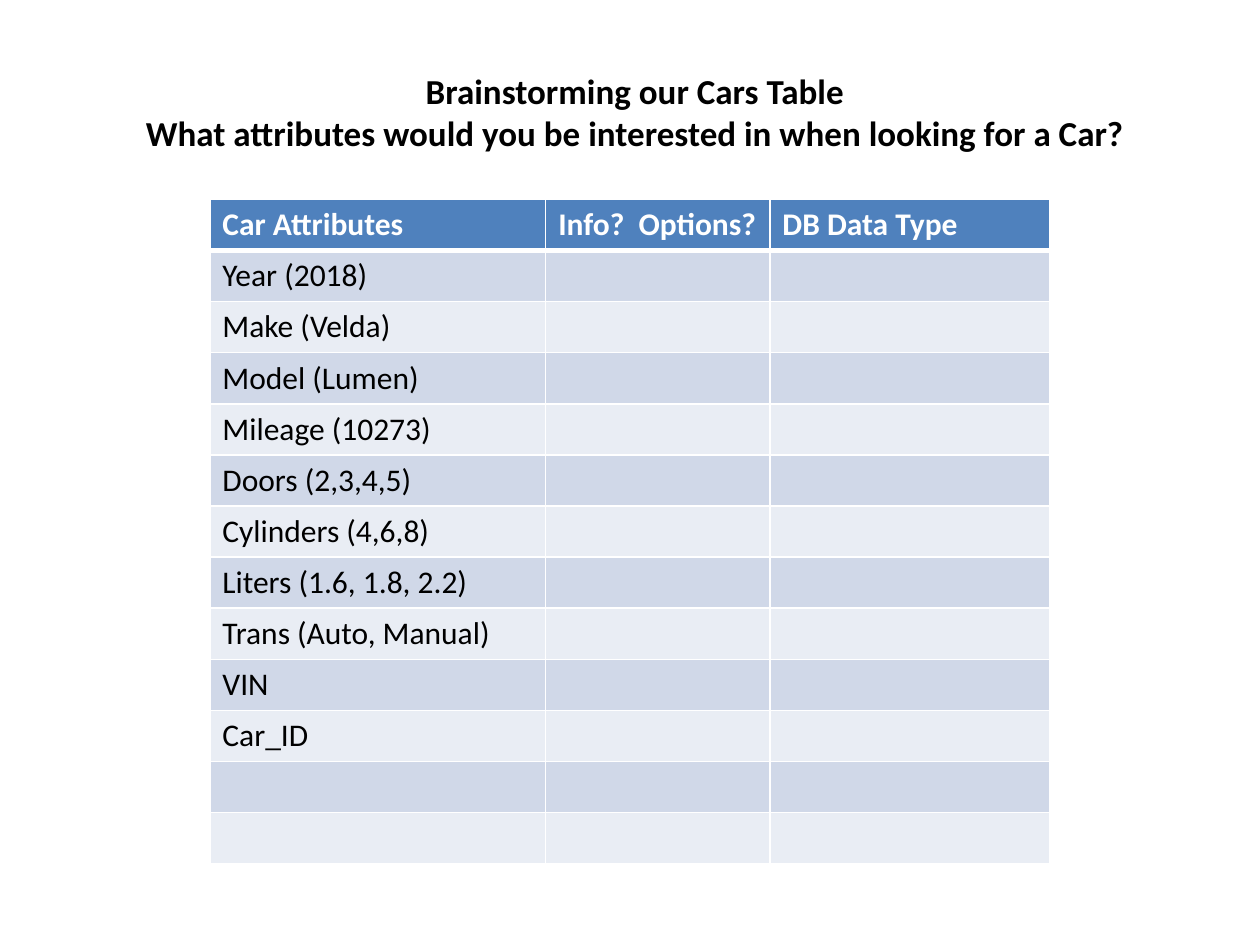
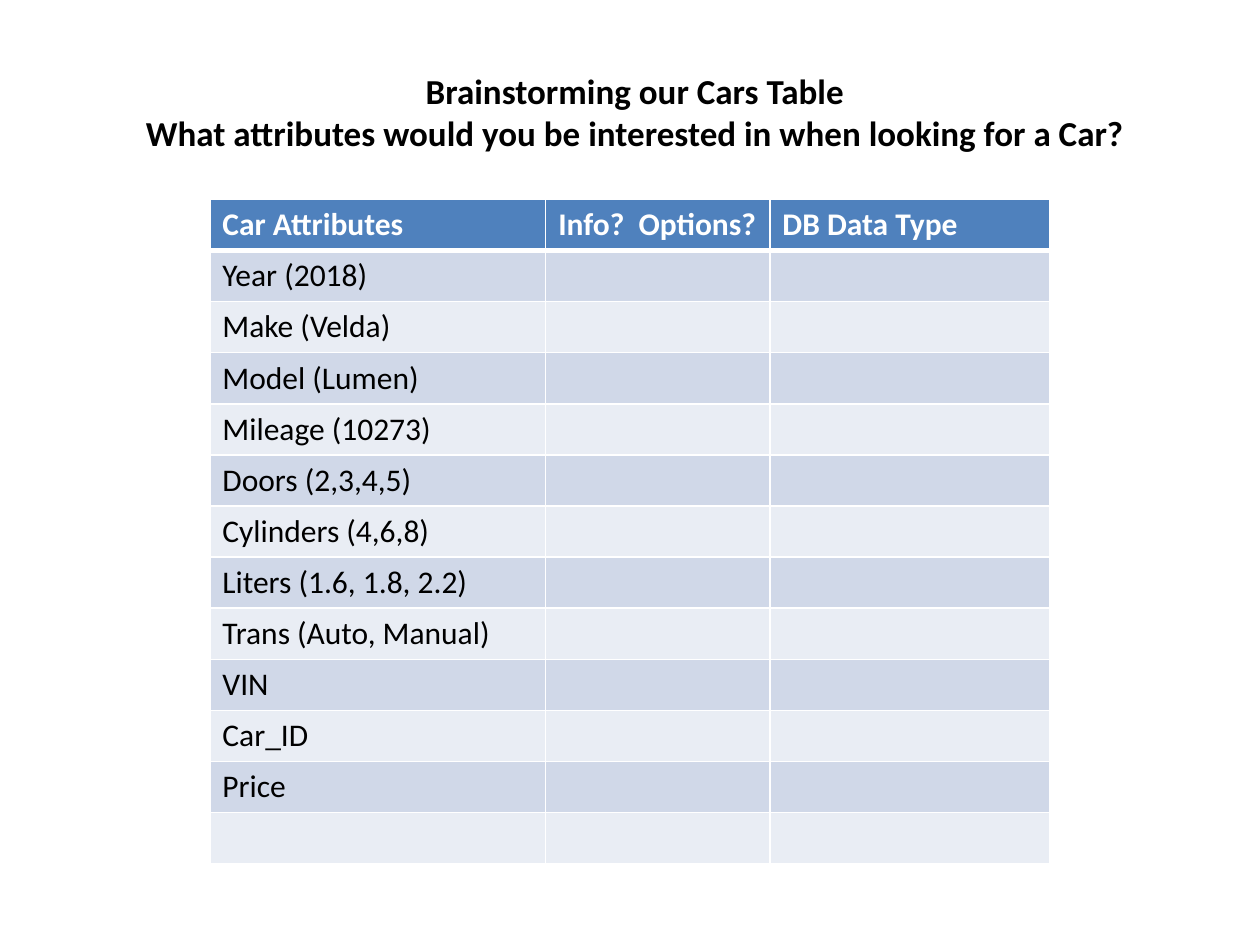
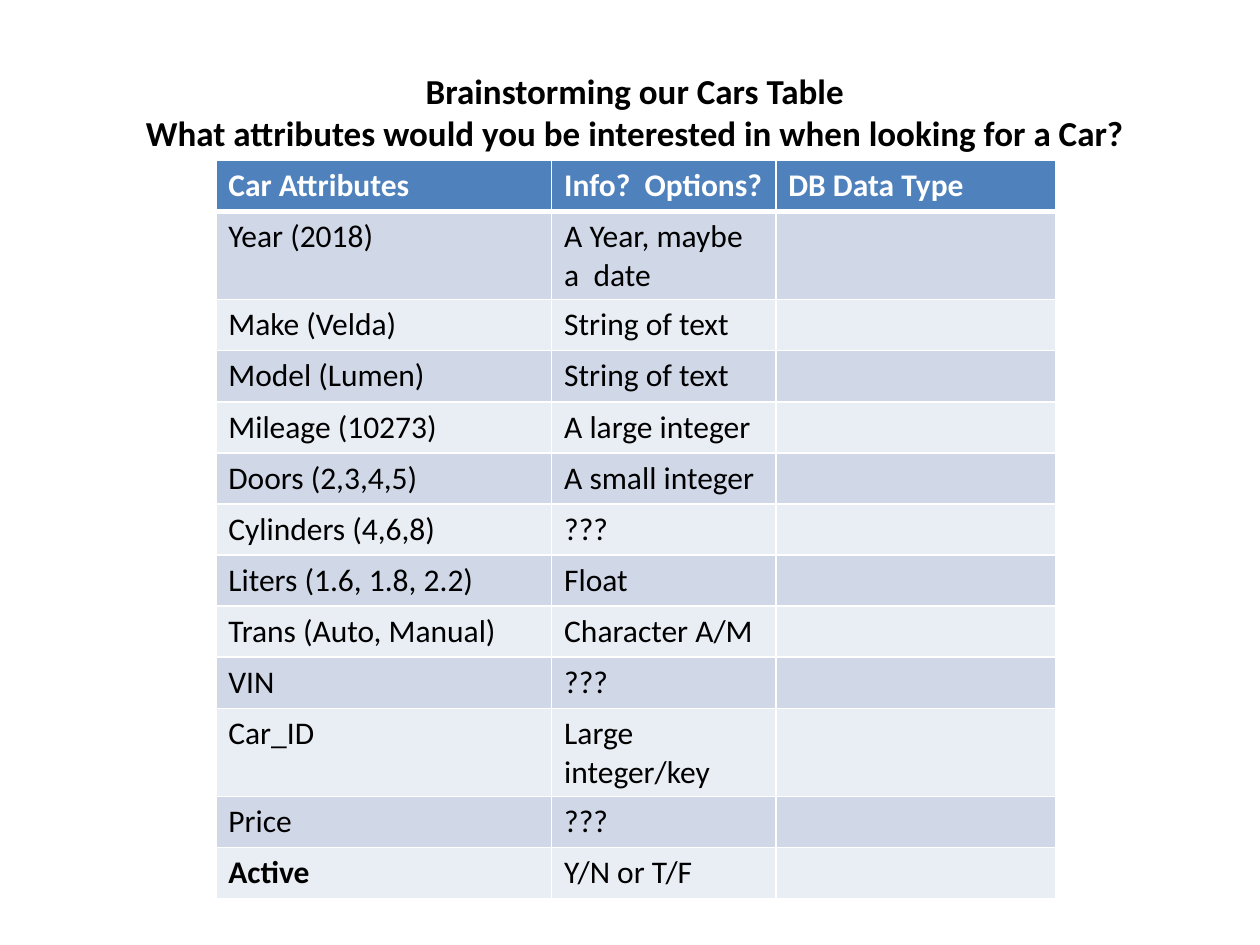
"""Build three slides that brainstorm the attributes of a cars table."""
from itertools import zip_longest

from lxml.etree import SubElement
from pptx import Presentation
from pptx.dml.color import RGBColor
from pptx.enum.text import MSO_AUTO_SIZE, PP_ALIGN
from pptx.oxml.ns import qn
from pptx.util import Cm, Pt

COLOURS = {
    "header": "4F81BD",
    "band_dark": "D0D8E8",
    "band_light": "E9EDF4",
    "border": "FFFFFF",
    "header_text": "FFFFFF",
    "text": "000000",
}
FORMATS = {
    "title": {"name": "Calibri", "size": Pt(20), "bold": True},
    "header": {"name": "Calibri", "size": Pt(18), "bold": True},
    "body": {"name": "Calibri", "size": Pt(18), "bold": False},
    "strong": {"name": "Calibri", "size": Pt(18), "bold": True},
}
TITLE_LINES = [
    "Brainstorming our Cars Table",
    "What attributes would you be interested in when looking for a Car?",
]
HEADERS = ["Car Attributes", "Info?  Options?", "DB Data Type"]
COLUMN_WIDTHS = [6.77, 4.52, 5.64]
ROW_HEIGHT = 1.03
BODY_ROWS = 12
ATTRIBUTES = [
    "Year (2018)",
    "Make (Velda)",
    "Model (Lumen)",
    "Mileage (10273)",
    "Doors (2,3,4,5)",
    "Cylinders (4,6,8)",
    "Liters (1.6, 1.8, 2.2)",
    "Trans (Auto, Manual)",
    "VIN",
    "Car_ID",
]
OPTIONS = [
    "A Year, maybe a  date",
    "String of text",
    "String of text",
    "A large integer",
    "A small integer",
    "???",
    "Float",
    "Character A/M",
    "???",
    "Large integer/key",
    "???",
    "Y/N or T/F",
]


class CarsDeck:
    """Hold the shared style and the current slide."""

    def __init__(self):
        self.deck = Presentation()
        self.deck.slide_width, self.deck.slide_height = Cm(25.4), Cm(19.05)
        self.page = None

    def add_page(self):
        self.page = self.deck.slides.add_slide(self.deck.slide_layouts[6])
        self.add_title()

    def add_span(self, para, text, style, colour):
        span = para.add_run()
        span.text = text
        for attribute, value in FORMATS[style].items():
            setattr(span.font, attribute, value)
        span.font.color.rgb = RGBColor.from_string(COLOURS[colour])

    def add_title(self):
        box = self.page.shapes.add_textbox(Cm(1.27), Cm(1.27), Cm(23.06), Cm(1.96))
        frame = box.text_frame
        frame.word_wrap = True
        frame.auto_size = MSO_AUTO_SIZE.SHAPE_TO_FIT_TEXT
        for index, line in enumerate(TITLE_LINES):
            para = frame.add_paragraph() if index else frame.paragraphs[0]
            para.alignment = PP_ALIGN.CENTER
            self.add_span(para, line, "title", "text")

    def set_borders(self, cell, top, bottom):
        properties = cell._tc.get_or_add_tcPr()
        for side, points in {"L": 1, "R": 1, "T": top, "B": bottom}.items():
            line = SubElement(properties, qn(f"a:ln{side}"), w=str(Pt(points)))
            fill = SubElement(line, qn("a:solidFill"))
            SubElement(fill, qn("a:srgbClr"), val=COLOURS["border"])

    def fill_cell(self, cell, text, row, strong):
        is_header = row == 0
        band = "header" if is_header else "band_dark" if row % 2 else "band_light"
        self.set_borders(cell, 3 if row == 1 else 1, 3 if is_header else 1)
        cell.fill.solid()
        cell.fill.fore_color.rgb = RGBColor.from_string(COLOURS[band])
        if text:
            style = "header" if is_header else "strong" if strong else "body"
            colour = "header_text" if is_header else "text"
            self.add_span(cell.text_frame.paragraphs[0], text, style, colour)

    def add_attribute_table(self, left, top, attributes, options=(), strong=()):
        count = BODY_ROWS + 1
        table = self.page.shapes.add_table(
            count, len(HEADERS), Cm(left), Cm(top),
            Cm(sum(COLUMN_WIDTHS)), Cm(count * ROW_HEIGHT),
        ).table
        for column, width in zip(table.columns, COLUMN_WIDTHS):
            column.width = Cm(width)
        for row in table.rows:
            row.height = Cm(ROW_HEIGHT)
        body = zip_longest(attributes, options, fillvalue="")
        texts = [HEADERS, *body]
        for number, row in enumerate(table.rows):
            row_texts = texts[number] if number < len(texts) else ()
            for cell, text in zip_longest(row.cells, row_texts, fillvalue=""):
                self.fill_cell(cell, text, number, text in strong)


def main():
    cars = CarsDeck()
    priced = ATTRIBUTES + ["Price"]
    for attributes in (ATTRIBUTES, priced):
        cars.add_page()
        cars.add_attribute_table(4.23, 4.02, attributes)
    cars.add_page()
    cars.add_attribute_table(4.35, 3.23, priced + ["Active"], OPTIONS, ["Active"])
    cars.deck.save("out.pptx")


if __name__ == "__main__":
    main()
